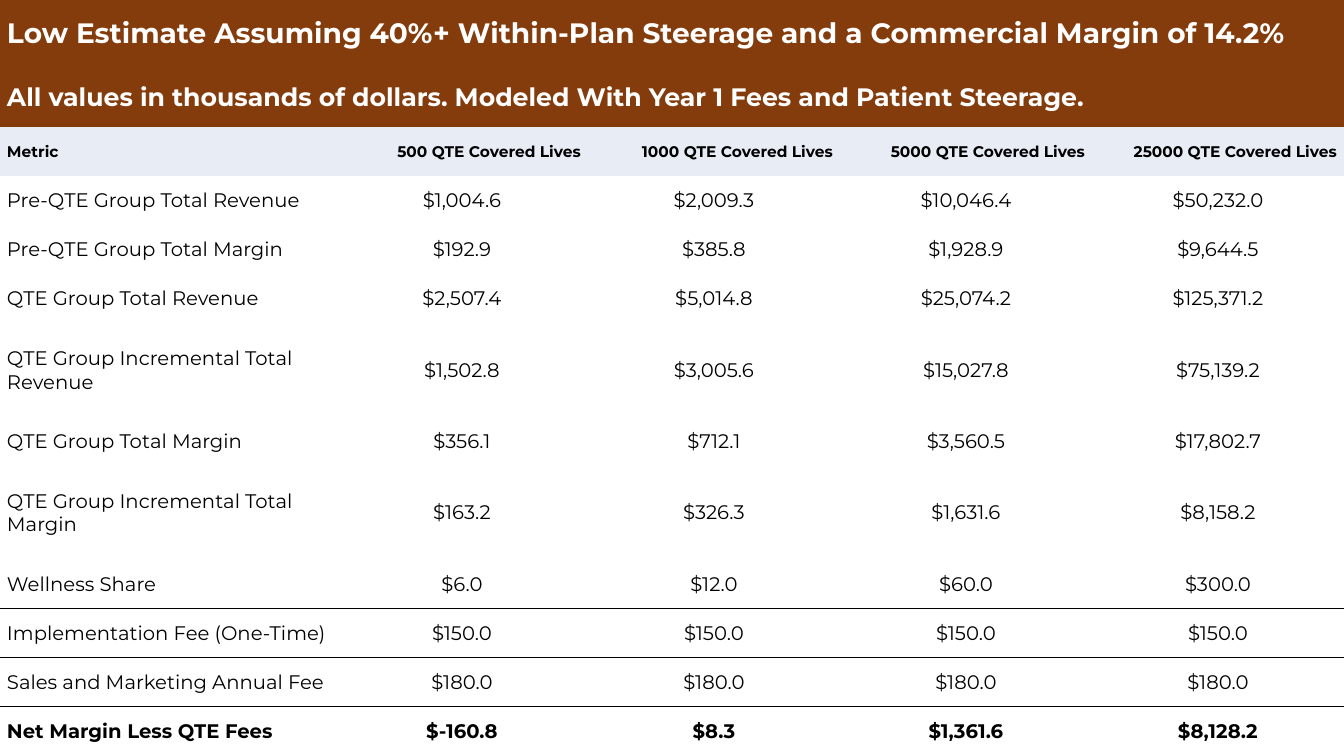
from pptx import Presentation
from pptx.dml.color import RGBColor
from pptx.enum.text import MSO_ANCHOR, PP_ALIGN
from pptx.oxml import parse_xml
from pptx.oxml.ns import nsdecls
from pptx.util import Pt

PX = 6350  # EMU, 144 px to the inch
WIDTH, HEIGHT = 1920, 1080
FONT = "Montserrat"
BROWN, PALE_BLUE, BLACK, WHITE = "843C0C", "E7ECF5", "000000", "FFFFFF"
NO_STYLE = "{2D5ABB26-0587-4C30-8999-92F81FD0307C}"

METRIC_WIDTH, VALUE_WIDTH = 480, 360
TITLE_HEIGHTS = [96, 86]
ROW_HEIGHT, TALL_ROW_HEIGHT = 70, 134
SIDE_MARGIN = 10

TITLES = [
    ("Low Estimate Assuming 40%+ Within-Plan Steerage and a Commercial Margin of 14.2%", 20),
    ("All values in thousands of dollars. Modeled With Year 1 Fees and Patient Steerage.", 18),
]
COVERED_LIVES = [500, 1000, 5000, 25000]
METRICS = [
    ("Pre-QTE Group Total Revenue", [1004.6, 2009.3, 10046.4, 50232.0]),
    ("Pre-QTE Group Total Margin", [192.9, 385.8, 1928.9, 9644.5]),
    ("QTE Group Total Revenue", [2507.4, 5014.8, 25074.2, 125371.2]),
    ("QTE Group Incremental Total Revenue", [1502.8, 3005.6, 15027.8, 75139.2]),
    ("QTE Group Total Margin", [356.1, 712.1, 3560.5, 17802.7]),
    ("QTE Group Incremental Total Margin", [163.2, 326.3, 1631.6, 8158.2]),
    ("Wellness Share", [6.0, 12.0, 60.0, 300.0]),
    ("Implementation Fee (One-Time)", [150.0] * 4),
    ("Sales and Marketing Annual Fee", [180.0] * 4),
    ("Net Margin Less QTE Fees", [-160.8, 8.3, 1361.6, 8128.2]),
]
RULED_METRICS = ["Wellness Share", "Sales and Marketing Annual Fee"]


def color(hex_string):
    return RGBColor.from_string(hex_string)


def write_cell(cell, text, size=14, bold=False, ink=BLACK, fill=None, align=PP_ALIGN.LEFT):
    cell.margin_left = cell.margin_right = SIDE_MARGIN * PX
    cell.margin_top = cell.margin_bottom = 0
    cell.vertical_anchor = MSO_ANCHOR.MIDDLE
    if fill:
        cell.fill.solid()
        cell.fill.fore_color.rgb = color(fill)
    else:
        cell.fill.background()
    para = cell.text_frame.paragraphs[0]
    para.alignment = align
    span = para.add_run()
    span.text = text
    span.font.name = FONT
    span.font.size = Pt(size)
    span.font.bold = bold
    span.font.color.rgb = color(ink)


def add_border(cell, side):
    """Draw a 1 pt black line on one side: "T" or "B"."""
    line = parse_xml(
        f'<a:ln{side} {nsdecls("a")} w="12700"><a:solidFill>'
        f'<a:srgbClr val="{BLACK}"/></a:solidFill></a:ln{side}>'
    )
    cell._tc.get_or_add_tcPr().insert(0, line)


def add_plain_table(page, heights, widths):
    frame = page.shapes.add_table(len(heights), len(widths), 0, 0, WIDTH * PX, HEIGHT * PX)
    table = frame.table
    table.first_row = table.horz_banding = False
    table._tbl.tblPr[0].text = NO_STYLE
    for row, height in zip(table.rows, heights):
        row.height = height * PX
    for column, width in zip(table.columns, widths):
        column.width = width * PX
    return table


def fill_titles(table):
    last_column = len(COVERED_LIVES)
    for row, (text, size) in enumerate(TITLES):
        cell = table.cell(row, 0)
        cell.merge(table.cell(row, last_column))
        write_cell(cell, text, size=size, bold=True, ink=WHITE, fill=BROWN)


def fill_header(table, row):
    write_cell(table.cell(row, 0), "Metric", size=11, bold=True, fill=PALE_BLUE)
    for column, lives in enumerate(COVERED_LIVES, 1):
        write_cell(table.cell(row, column), f"{lives} QTE Covered Lives", size=11,
                   bold=True, fill=PALE_BLUE, align=PP_ALIGN.RIGHT)


def fill_metrics(table, first_row):
    for row, (name, values) in enumerate(METRICS, first_row):
        bold = name.startswith("Net")
        write_cell(table.cell(row, 0), name, bold=bold)
        for column, value in enumerate(values, 1):
            write_cell(table.cell(row, column), f"${value:,.1f}", bold=bold,
                       align=PP_ALIGN.CENTER)
        if name in RULED_METRICS:
            for column in range(len(values) + 1):
                add_border(table.cell(row, column), "B")
                add_border(table.cell(row + 1, column), "T")


def main():
    deck = Presentation()
    deck.slide_width, deck.slide_height = WIDTH * PX, HEIGHT * PX
    page = deck.slides.add_slide(deck.slide_layouts[6])
    metric_heights = [TALL_ROW_HEIGHT if "Incremental" in name else ROW_HEIGHT
                      for name, _ in METRICS]
    heights = TITLE_HEIGHTS + [ROW_HEIGHT] + metric_heights
    widths = [METRIC_WIDTH] + [VALUE_WIDTH] * len(COVERED_LIVES)
    table = add_plain_table(page, heights, widths)
    header_row = len(TITLES)
    fill_titles(table)
    fill_header(table, header_row)
    fill_metrics(table, header_row + 1)
    deck.save("out.pptx")


if __name__ == "__main__":
    main()
